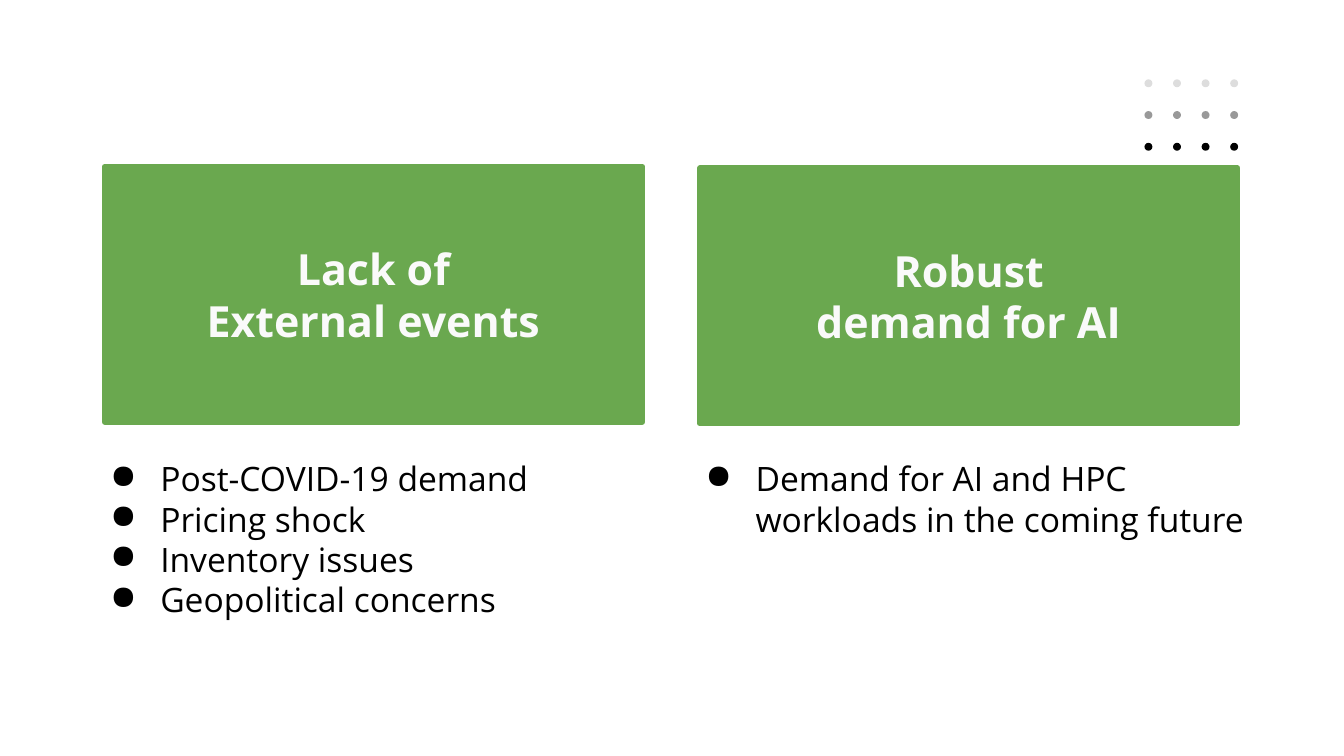
from dataclasses import dataclass

from lxml.etree import SubElement
from pptx import Presentation
from pptx.dml.color import RGBColor
from pptx.enum.shapes import MSO_SHAPE
from pptx.enum.text import MSO_ANCHOR, PP_ALIGN
from pptx.oxml.ns import qn
from pptx.util import Cm, Pt


@dataclass(frozen=True)
class Theme:
    green: RGBColor = RGBColor(0x6A, 0xA8, 0x4F)
    light: RGBColor = RGBColor(0xFA, 0xFA, 0xFA)
    black: RGBColor = RGBColor(0, 0, 0)
    dot_rows: tuple = (RGBColor(0xDD, 0xDD, 0xDD), RGBColor(0x99, 0x99, 0x99), RGBColor(0, 0, 0))
    font: str = "Open Sans"
    title: int = 23
    body: int = 18


THEME = Theme()
TITLE = {"name": THEME.font, "size": Pt(THEME.title), "bold": True}
BODY = {"name": THEME.font, "size": Pt(THEME.body)}

PANEL_W, PANEL_H = 10.16, 4.83
TITLE_H = 2.11
LIST_INSET, LIST_W, LIST_TOP = 0.47, 11.13, 8.41

# left, top, title width, title lines, bullets (all lengths in cm)
COLUMNS = [
    (1.98, 3.15, 7.52, ["Lack of", "External events"],
     ["Post-COVID-19 demand", "Pricing shock", "Inventory issues", "Geopolitical concerns"]),
    (13.23, 3.18, 6.68, ["Robust demand for AI"],
     ["Demand for AI and HPC workloads in the coming future"]),
]


def add_solid(shapes, kind, box, color):
    sp = shapes.add_shape(kind, *map(Cm, box))
    sp.shadow.inherit = False
    sp.fill.solid()
    sp.fill.fore_color.rgb = color
    return sp


def add_bullet(p):
    pPr = p._p.get_or_add_pPr()
    pPr.set("marL", str(Cm(1.27)))
    pPr.set("indent", str(Cm(-0.95)))
    SubElement(pPr, qn("a:buChar"), char="●")


def add_text(s, box, lines, font, color, align=PP_ALIGN.LEFT, anchor=MSO_ANCHOR.TOP, bullets=False):
    tf = s.shapes.add_textbox(*map(Cm, box)).text_frame
    tf.word_wrap = True
    tf.vertical_anchor = anchor
    for side in ("left", "top", "right", "bottom"):
        setattr(tf, f"margin_{side}", Cm(0.25))
    for i, line in enumerate(lines):
        p = tf.add_paragraph() if i else tf.paragraphs[0]
        p.alignment = align
        if bullets:
            add_bullet(p)
        r = p.add_run()
        r.text = line
        for name, value in font.items():
            setattr(r.font, name, value)
        r.font.color.rgb = color


def add_dots(s, left, top, size=0.15, step_x=0.54, step_y=0.6, columns=4):
    """Grid of dots that darkens from row to row."""
    group = s.shapes.add_group_shape()
    for row, color in enumerate(THEME.dot_rows):
        for column in range(columns):
            box = (left + column * step_x, top + row * step_y, size, size)
            add_solid(group.shapes, MSO_SHAPE.OVAL, box, color).line.fill.background()


def add_column(s, left, top, title_w, title, bullets):
    """Green panel with a centred title and a bullet list below it."""
    panel = add_solid(s.shapes, MSO_SHAPE.RECTANGLE, (left, top, PANEL_W, PANEL_H), THEME.green)
    panel.line.color.rgb = THEME.green
    panel.line.width = Pt(3)
    title_box = (left + (PANEL_W - title_w) / 2, top + (PANEL_H - TITLE_H) / 2, title_w, TITLE_H)
    add_text(s, title_box, title, TITLE, THEME.light, PP_ALIGN.CENTER, MSO_ANCHOR.MIDDLE)
    list_box = (left - LIST_INSET, LIST_TOP, LIST_W, 0.5 + 1.2 * len(bullets))
    add_text(s, list_box, bullets, BODY, THEME.black, bullets=True)


def main():
    prs = Presentation()
    prs.slide_width, prs.slide_height = Cm(25.4), Cm(14.29)
    s = prs.slides.add_slide(prs.slide_layouts[6])
    add_dots(s, 21.63, 1.5)
    for column in COLUMNS:
        add_column(s, *column)
    prs.save("out.pptx")


if __name__ == "__main__":
    main()
